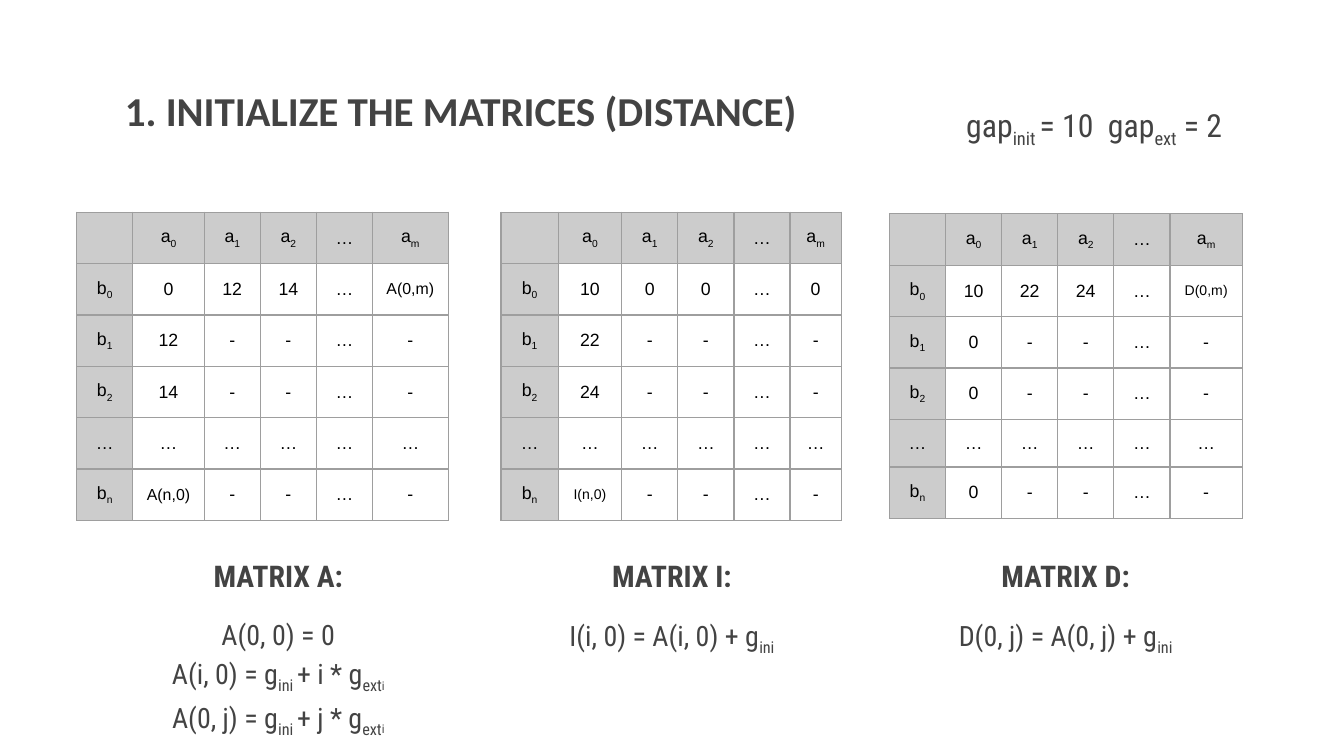
import pptx
import pptx.dml.color
import pptx.enum.text
import pptx.oxml.ns
import pptx.util
from lxml import etree

Cm, Pt = pptx.util.Cm, pptx.util.Pt
qn = pptx.oxml.ns.qn
CENTER = pptx.enum.text.PP_ALIGN.CENTER
MIDDLE = pptx.enum.text.MSO_ANCHOR.MIDDLE
COLORS = {"text": "434343", "cell": "000000", "header": "CCCCCC", "border": "9E9E9E"}
BODY_FONT = "Roboto Condensed"


def add_runs(p, text, size, font=BODY_FONT, color="text", bold=False):
    """Add text to p; every second part between bars is a subscript."""
    for i, part in enumerate(text.split("|")):
        if not part:
            continue
        r = p.add_run()
        r.text = part
        r.font.size = Pt(size)
        r.font.name = font
        r.font.bold = bold
        r.font.color.rgb = pptx.dml.color.RGBColor.from_string(COLORS[color])
        if i % 2:
            r._r.get_or_add_rPr().set("baseline", "-25000")


def add_textbox(s, left, top, width, height):
    tf = s.shapes.add_textbox(Cm(left), Cm(top), Cm(width), Cm(height)).text_frame
    tf.word_wrap = True
    tf.margin_left = tf.margin_right = tf.margin_top = tf.margin_bottom = Cm(0.25)
    return tf


prs = pptx.Presentation()
prs.slide_width, prs.slide_height = Cm(25.4), Cm(14.28)
s = prs.slides.add_slide(prs.slide_layouts[6])

# Title and gap costs
tf = add_textbox(s, 2.11, 1.37, 17, 1.6)
add_runs(tf.paragraphs[0], "1. INITIALIZE THE MATRICES (DISTANCE)", 22, "Calibri", bold=True)

p = add_textbox(s, 18.01, 1.63, 7.39, 1.6).paragraphs[0]
p.line_spacing = 1.15
p.space_after = Pt(4)
tabs = etree.SubElement(p._p.get_or_add_pPr(), qn("a:tabLst"))
etree.SubElement(tabs, qn("a:tab"), pos=str(Cm(2.68)), algn="l")
add_runs(p, "gap|init |= 10\tgap|ext| = 2", 17)

# Captions: left, height, heading, formula lines (main part, small ending)
captions = [
    (2.54, 3.91, "MATRIX A:", [("A(0, 0) = 0", ""),
                               ("A(i, 0) = g|ini |+ i * g|ext", "|i"),
                               ("A(0, j) = g|ini |+ j * g|ext", "|i")]),
    (9.98, 2.34, "MATRIX I:", [("I(i, 0) = A(i, 0) + g|ini", "")]),
    (17.42, 2.34, "MATRIX D:", [("D(0, j) = A(0, j) + g|ini", "")]),
]
for left, height, heading, formulas in captions:
    tf = add_textbox(s, left, 10.19, 5.44, height)
    p = tf.paragraphs[0]
    add_runs(p, heading, 16, bold=True)
    p.alignment, p.line_spacing = CENTER, 1.15
    p = tf.add_paragraph()
    p.alignment, p.line_spacing, p.space_before = CENTER, 1.15, Pt(10)
    for i, (formula, ending) in enumerate(formulas):
        if i:
            p.add_line_break()
        add_runs(p, formula, 15)
        add_runs(p, ending, 11)
    for br in p._p.findall(qn("a:br")):
        etree.SubElement(br, qn("a:rPr"), sz="1500")

# Matrices: left, top, column widths, height of the "…" row, size of long
# entries, first row, rest of the first column
matrices = [
    (1.45, 4.01, [1.06, 1.35, 1.06, 1.06, 1.06, 1.43], 0.97, 8.5,
     ["0", "12", "14", "…", "A(0,m)"], ["12", "14", "…", "A(n,0)"]),
    (9.47, 4.01, [1.08, 1.2, 1.06, 1.06, 1.06, 0.97], 0.97, 7.5,
     ["10", "0", "0", "…", "0"], ["22", "24", "…", "I(n,0)"]),
    (16.81, 4.04, [1.06, 1.06, 1.06, 1.06, 1.06, 1.37], 0.89, 7.5,
     ["10", "22", "24", "…", "D(0,m)"], ["0", "0", "…", "0"]),
]
for left, top, widths, dots_height, long_size, first_row, first_col in matrices:
    heights = [0.97] * 4 + [dots_height, 0.97]
    rows = [["", "a|0", "a|1", "a|2", "…", "a|m"], ["b|0"] + first_row]
    for label, value in zip(["b|1", "b|2", "…", "b|n"], first_col):
        inner = "…" if label == "…" else "-"
        rows.append([label, value, inner, inner, "…", inner])

    table = s.shapes.add_table(6, 6, Cm(left), Cm(top), Cm(sum(widths)), Cm(sum(heights))).table
    table.first_row = table.horz_banding = False
    for col, width in zip(table.columns, widths):
        col.width = Cm(width)
    for row, height in zip(table.rows, heights):
        row.height = Cm(height)

    for i, row in enumerate(rows):
        for j, text in enumerate(row):
            cell = table.cell(i, j)
            cell.vertical_anchor = MIDDLE
            cell.margin_left = cell.margin_right = Cm(0.25)
            cell.margin_top = cell.margin_bottom = Cm(0.25)
            for side in ("lnL", "lnR", "lnT", "lnB"):
                ln = etree.SubElement(cell._tc.get_or_add_tcPr(), qn("a:" + side), w=str(Pt(0.75)))
                fill = etree.SubElement(ln, qn("a:solidFill"))
                etree.SubElement(fill, qn("a:srgbClr"), val=COLORS["border"])
            if i == 0 or j == 0:
                cell.fill.solid()
                cell.fill.fore_color.rgb = pptx.dml.color.RGBColor.from_string(COLORS["header"])
            else:
                cell.fill.background()
            p = cell.text_frame.paragraphs[0]
            p.alignment = CENTER
            add_runs(p, text, long_size if "(" in text else 9.5, "Arial", "cell")
            if not text:
                etree.SubElement(p._p, qn("a:endParaRPr"), sz="950")

prs.save("out.pptx")
